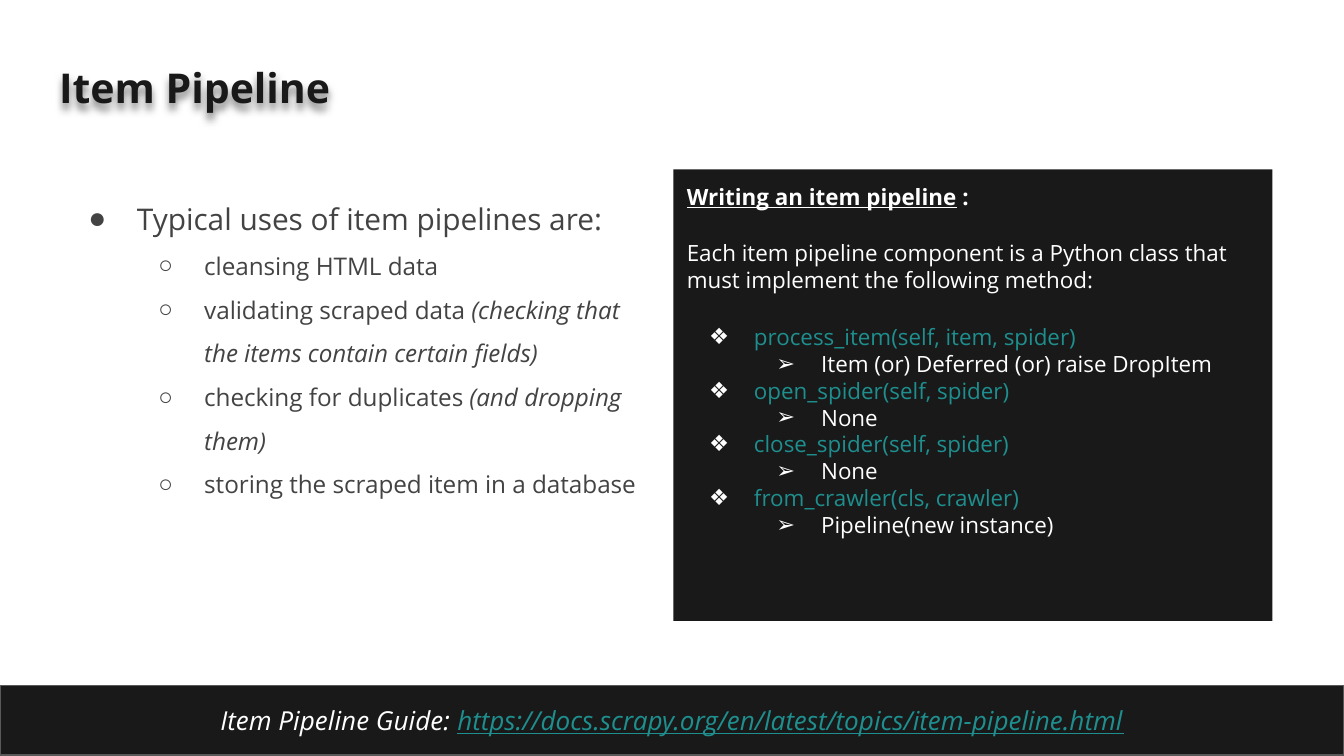
from lxml import etree
from pptx import Presentation
from pptx.dml.color import RGBColor
from pptx.enum.shapes import MSO_SHAPE
from pptx.enum.text import MSO_ANCHOR, MSO_AUTO_SIZE, PP_ALIGN
from pptx.oxml.ns import qn
from pptx.util import Pt

RECT = MSO_SHAPE.RECTANGLE
TOP, MIDDLE = MSO_ANCHOR.TOP, MSO_ANCHOR.MIDDLE
LEFT, CENTER = PP_ALIGN.LEFT, PP_ALIGN.CENTER
NO_FIT = MSO_AUTO_SIZE.NONE
FONT = "Open Sans"
DARK, GREY, WHITE, TEAL, EDGE = "191919", "434343", "FFFFFF", "1E8F8E", "595959"
BODY_TOP, BODY_W, BODY_H = 90.7, 321, 242

USES = [
    [("cleansing HTML data", False)],
    [("validating scraped data ", False),
     ("(checking that the items contain certain fields)", True)],
    [("checking for duplicates ", False), ("(and dropping them)", True)],
    [("storing the scraped item in a database", False)],
]
METHODS = [
    ("process_item(self, item, spider)", "Item (or) Deferred (or) raise DropItem"),
    ("open_spider(self, spider)", "None"),
    ("close_spider(self, spider)", "None"),
    ("from_crawler(cls, crawler)", "Pipeline(new instance)"),
]


def rgb(value):
    """Turn a hex string into a colour."""
    return RGBColor.from_string(value)


def place(sp, left, top, width, height):
    """Set a shape's box in points."""
    sp.left, sp.top, sp.width, sp.height = map(Pt, (left, top, width, height))


def fill(sp, color):
    """Give a shape a solid fill."""
    sp.fill.solid()
    sp.fill.fore_color.rgb = rgb(color)


def prepare(sp, anchor=TOP):
    """Set the margins, wrapping and anchor and return the text frame."""
    tf = sp.text_frame
    tf.margin_left = tf.margin_right = tf.margin_top = tf.margin_bottom = Pt(7.2)
    tf.word_wrap = True
    tf.auto_size = NO_FIT
    tf.vertical_anchor = anchor
    return tf


def add_run(p, text, size, color, bold=False, italic=False, underline=False):
    """Add one formatted run."""
    r = p.add_run()
    r.text = text
    f = r.font
    f.name, f.size, f.color.rgb = FONT, Pt(size), rgb(color)
    f.bold, f.italic, f.underline = bold, italic, underline


def add_paragraph(tf, align=LEFT, spacing=1.0, before=0):
    """Return a new paragraph, using the empty first one if it is free."""
    p = tf.paragraphs[0]
    if p.runs:
        p = tf.add_paragraph()
    p.alignment, p.line_spacing = align, spacing
    p.space_before, p.space_after = Pt(before), Pt(0)
    return p


def set_bullet(p, char=None, color=GREY, level=0, hang=0):
    """Set the level, hanging indent and bullet; no character means no bullet."""
    p.level = level
    pPr = p._p.get_or_add_pPr()
    pPr.set("marL", str(Pt(36 * (level + 1)) if char else 0))
    pPr.set("indent", str(Pt(-hang)))
    if char:
        clr = etree.SubElement(pPr, qn("a:buClr"))
        etree.SubElement(clr, qn("a:srgbClr"), val=color)
        etree.SubElement(pPr, qn("a:buChar"), char=char)
    else:
        etree.SubElement(pPr, qn("a:buNone"))


def add_shadow(sp):
    """Cast a soft shadow below the text of an unfilled shape."""
    sp.fill.background()
    effects = etree.SubElement(sp._element.spPr, qn("a:effectLst"))
    shadow = etree.SubElement(effects, qn("a:outerShdw"), blurRad=str(Pt(4.5)),
                              dist=str(Pt(3)), dir="5400000", algn="bl", rotWithShape="0")
    clr = etree.SubElement(shadow, qn("a:srgbClr"), val="000000")
    etree.SubElement(clr, qn("a:alpha"), val="50000")


def write_title(sp):
    """Write the slide title."""
    place(sp, 24.5, 26, 671, 45.4)
    add_shadow(sp)
    add_run(add_paragraph(prepare(sp)), "Item Pipeline", 22, DARK, bold=True)


def write_uses(sp):
    """Write the list of typical uses."""
    place(sp, 30.2, BODY_TOP, BODY_W, BODY_H)
    tf = prepare(sp)
    p = add_paragraph(tf, spacing=1.5)
    set_bullet(p, "●", hang=26)
    add_run(p, "Typical uses of item pipelines are:", 16, GREY)
    for use in USES:
        p = add_paragraph(tf, spacing=1.5)
        set_bullet(p, "○", level=1, hang=24.5)
        for text, italic in use:
            add_run(p, text, 13, GREY, italic=italic)


def write_methods(sp):
    """Write the dark panel of pipeline methods and their results."""
    place(sp, 360.7, BODY_TOP, BODY_W, BODY_H)
    fill(sp, DARK)
    tf = prepare(sp)
    p = add_paragraph(tf)
    set_bullet(p)
    add_run(p, "Writing an item pipeline", 12, WHITE, bold=True, underline=True)
    add_run(p, " :", 12, WHITE, bold=True)
    p = add_paragraph(tf, before=16)
    set_bullet(p)
    add_run(p, "Each item pipeline component is a Python class that "
               "must implement the following method:", 12, WHITE)
    for i, (method, result) in enumerate(METHODS):
        p = add_paragraph(tf, before=0 if i else 16)
        set_bullet(p, "❖", WHITE, hang=24)
        add_run(p, method, 12, TEAL)
        p = add_paragraph(tf)
        set_bullet(p, "➢", WHITE, level=1, hang=24)
        add_run(p, result, 12, WHITE)


def add_guide_bar(s):
    """Add the bottom bar with the guide's address."""
    sp = s.shapes.add_shape(RECT, Pt(0), Pt(367.2), Pt(720), Pt(37.4))
    sp.shadow.inherit = False
    fill(sp, DARK)
    sp.line.color.rgb = rgb(EDGE)
    sp.line.width = Pt(0.75)
    p = add_paragraph(prepare(sp, MIDDLE), CENTER)
    add_run(p, "Item Pipeline Guide: ", 14, WHITE, italic=True)
    add_run(p, "https://docs.scrapy.org/en/latest/topics/item-pipeline.html",
            14, TEAL, italic=True, underline=True)


def main():
    """Build and save the slide."""
    prs = Presentation()
    prs.slide_width, prs.slide_height = Pt(720), Pt(405)
    s = prs.slides.add_slide(prs.slide_layouts[3])
    title, uses, methods = s.placeholders
    write_title(title)
    write_uses(uses)
    write_methods(methods)
    add_guide_bar(s)
    prs.save("out.pptx")


if __name__ == "__main__":
    main()
